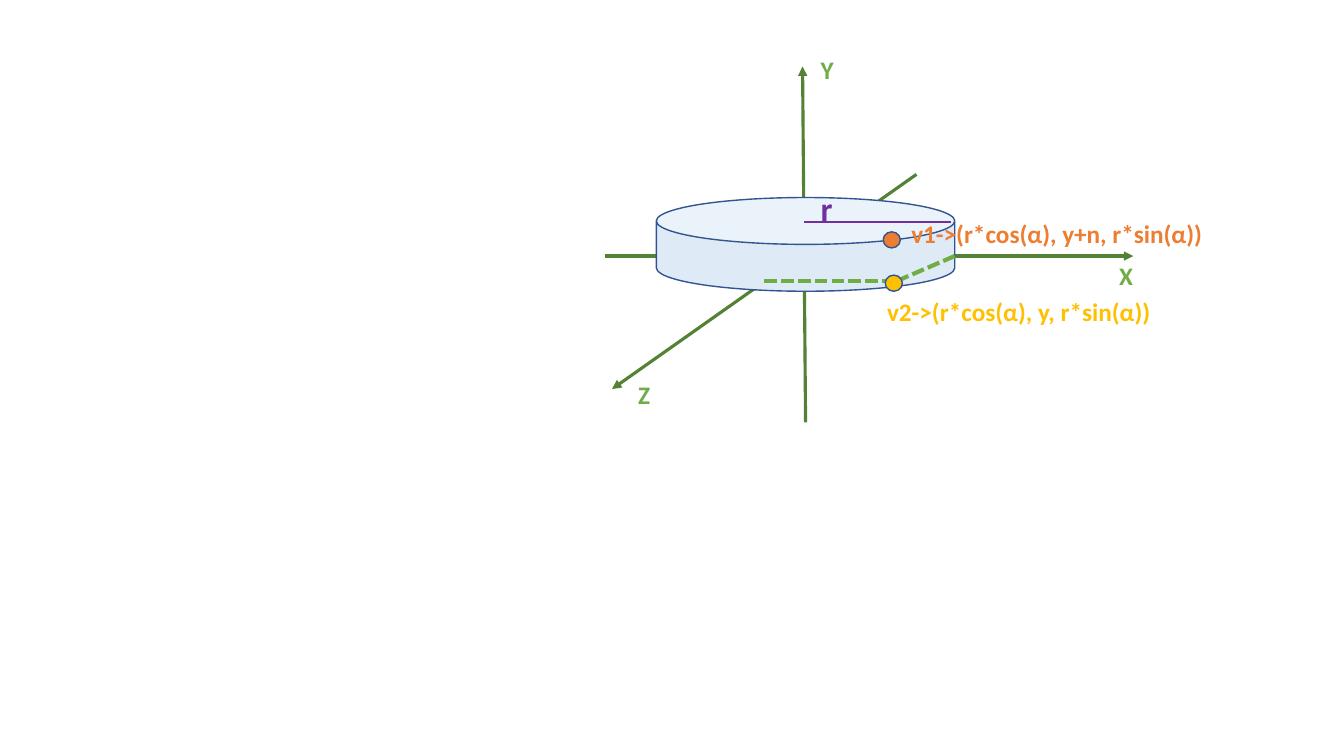
"""Builds a slide that shows the vertices of a cylinder on three axes."""
from lxml import etree
from pptx import Presentation
from pptx.dml.color import RGBColor
from pptx.enum.dml import MSO_LINE
from pptx.enum.shapes import MSO_CONNECTOR, MSO_SHAPE
from pptx.oxml.ns import qn
from pptx.util import Inches, Pt

CAN, OVAL = MSO_SHAPE.CAN, MSO_SHAPE.OVAL
STRAIGHT = MSO_CONNECTOR.STRAIGHT
DASH = MSO_LINE.SQUARE_DOT

AXIS_GREEN = RGBColor(0x54, 0x82, 0x35)
GREEN = RGBColor(0x70, 0xAD, 0x47)
PURPLE = RGBColor(0x70, 0x30, 0xA0)
GOLD = RGBColor(0xFF, 0xC0, 0x00)
ORANGE = RGBColor(0xED, 0x7D, 0x31)
PALE_BLUE = RGBColor(0xDE, 0xEB, 0xF7)
OUTLINE_BLUE = RGBColor(0x32, 0x54, 0x91)

CELL = Inches(0.1)
CENTER_X, AXIS_ROW = 79.9, 25.4
RADIUS, CAN_TOP, CAN_HEIGHT = 14.8, 19.6, 9.3
CAN_RIGHT = CENTER_X + RADIUS
FOOT = (88.9, 27.9)
DOT_WIDTH, DOT_HEIGHT = 1.7, 1.6

AXES = [
    ((CENTER_X, 41.9), (79.6, 6.6)),
    ((60, AXIS_ROW), (112.4, AXIS_ROW)),
    ((90.9, 17.3), (60.7, 38.6)),
]
PROJECTIONS = [((75.8, FOOT[1]), FOOT), ((CAN_RIGHT, AXIS_ROW), FOOT)]
RADIUS_LINE = ((79.7, 22), (94.3, 22))
VERTICES = [((88.65, 28.1), GOLD), ((88.45, 23.8), ORANGE)]
LABELS = [
    ("X", (110, 25.3), 4.9, 18, GREEN),
    ("Y", (80.4, 4.9), 28.6, 18, GREEN),
    ("Z", (62.3, 37.1), 28.6, 18, GREEN),
    ("r", (80.4, 18.2), 15.1, 24, PURPLE),
    ("v1->(r*cos(α), y+n, r*sin(α))", (89.4, 21.2), 33.7, 18, ORANGE),
    ("v2->(r*cos(α), y, r*sin(α))", (87, 28.9), 28.6, 18, GOLD),
]


def cells(*lengths):
    return [round(length * CELL) for length in lengths]


def add_line(slide, start, end, color, width, dash=None, arrow=False):
    line = slide.shapes.add_connector(STRAIGHT, *cells(*start, *end))
    line.line.color.rgb = color
    line.line.width = Pt(width)
    if dash:
        line.line.dash_style = dash
    if arrow:
        outline = line.line._get_or_add_ln()
        etree.SubElement(outline, qn("a:tailEnd"), type="triangle")
    etree.SubElement(line._element.spPr, qn("a:effectLst"))


def add_solid(slide, kind, left, top, width, height, fill):
    solid = slide.shapes.add_shape(kind, *cells(left, top, width, height))
    solid.shadow.inherit = False
    solid.fill.solid()
    solid.fill.fore_color.rgb = fill
    solid.line.color.rgb = OUTLINE_BLUE
    solid.line.width = Pt(1)
    return solid


def add_label(slide, text, *, place, width, size, color):
    height = 5 if size > 18 else 4
    box = slide.shapes.add_textbox(*cells(*place, width, height))
    box.text_frame.word_wrap = True
    span = box.text_frame.paragraphs[0].add_run()
    span.text = text
    span.font.name = "Calibri"
    span.font.size = Pt(size)
    span.font.bold = True
    span.font.color.rgb = color


def main():
    deck = Presentation()
    deck.slide_width, deck.slide_height = Inches(13.33), Inches(7.5)
    slide = deck.slides.add_slide(deck.slide_layouts[6])

    for start, end in AXES:
        add_line(slide, start, end, AXIS_GREEN, 2.25, arrow=True)
    can = add_solid(slide, CAN, CENTER_X - RADIUS, CAN_TOP, 2 * RADIUS, CAN_HEIGHT, PALE_BLUE)
    can.adjustments[0] = 0.5
    for start, end in PROJECTIONS:
        add_line(slide, start, end, GREEN, 3, dash=DASH)
    add_line(slide, *RADIUS_LINE, PURPLE, 1.5)
    for (x, y), color in VERTICES:
        add_solid(slide, OVAL, x - DOT_WIDTH / 2, y - DOT_HEIGHT / 2, DOT_WIDTH, DOT_HEIGHT, color)
    for text, place, width, size, color in LABELS:
        add_label(slide, text, place=place, width=width, size=size, color=color)

    deck.save("out.pptx")


if __name__ == "__main__":
    main()
